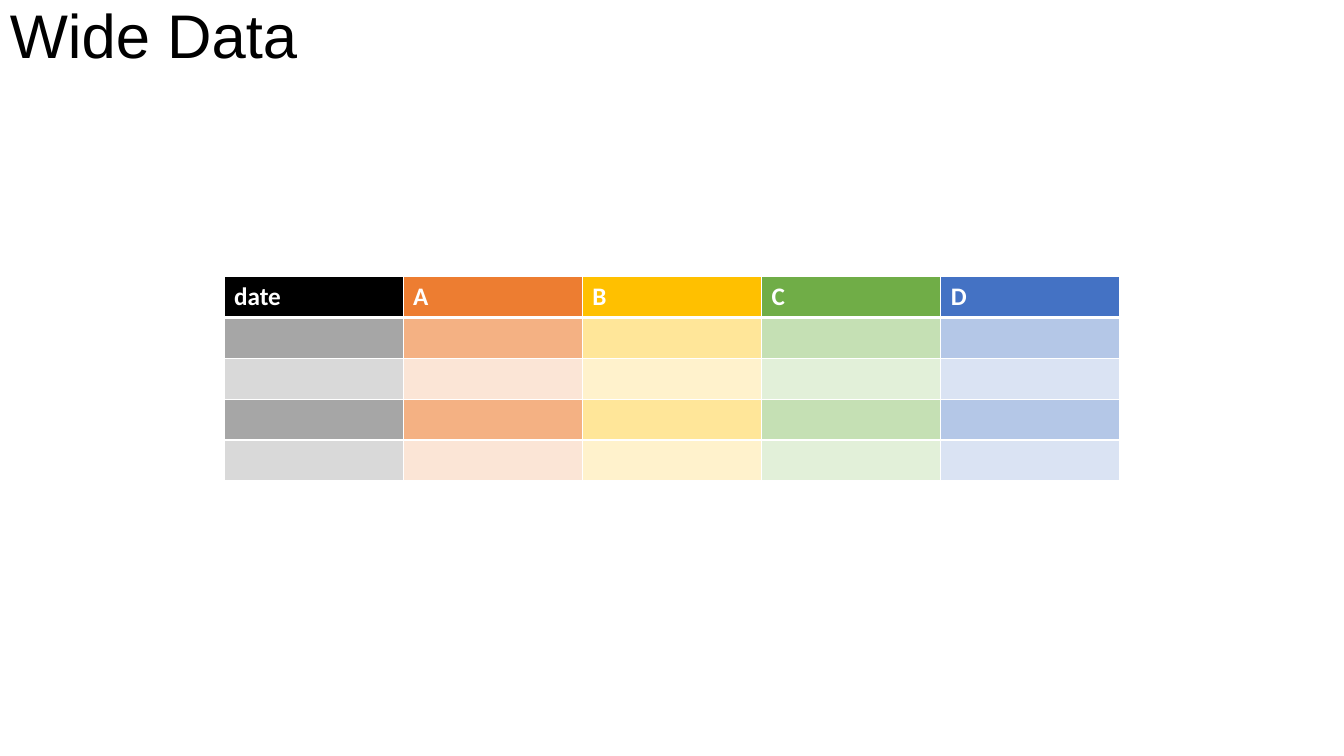
from lxml.etree import SubElement
from pptx import Presentation
from pptx.dml.color import RGBColor
from pptx.enum.text import MSO_ANCHOR
from pptx.oxml.ns import qn
from pptx.util import Pt

EMU_PER_PX = 6350
SLIDE_WIDTH, SLIDE_HEIGHT = 1920, 1080
ROW_HEIGHT = 58
BODY_ROWS = 4

BLACK = RGBColor(0x00, 0x00, 0x00)
WHITE = RGBColor(0xFF, 0xFF, 0xFF)
DARK_GRAY = RGBColor(0xA6, 0xA6, 0xA6)
LIGHT_GRAY = RGBColor(0xD9, 0xD9, 0xD9)
ORANGE = RGBColor(0xED, 0x7D, 0x31)
MID_ORANGE = RGBColor(0xF4, 0xB1, 0x83)
PALE_ORANGE = RGBColor(0xFB, 0xE5, 0xD6)
GOLD = RGBColor(0xFF, 0xC0, 0x00)
MID_GOLD = RGBColor(0xFF, 0xE6, 0x99)
PALE_GOLD = RGBColor(0xFF, 0xF2, 0xCC)
GREEN = RGBColor(0x70, 0xAD, 0x47)
MID_GREEN = RGBColor(0xC5, 0xE0, 0xB4)
PALE_GREEN = RGBColor(0xE2, 0xF0, 0xD9)
BLUE = RGBColor(0x44, 0x72, 0xC4)
MID_BLUE = RGBColor(0xB4, 0xC7, 0xE7)
PALE_BLUE = RGBColor(0xDA, 0xE3, 0xF3)

COLUMNS = [
    ("date", BLACK, DARK_GRAY, LIGHT_GRAY),
    ("A", ORANGE, MID_ORANGE, PALE_ORANGE),
    ("B", GOLD, MID_GOLD, PALE_GOLD),
    ("C", GREEN, MID_GREEN, PALE_GREEN),
    ("D", BLUE, MID_BLUE, PALE_BLUE),
]


def px(length):
    return length * EMU_PER_PX


def write_text(frame, text, *, font, size, color, bold=False, line_spacing=None):
    paragraph = frame.paragraphs[0]
    paragraph.line_spacing = line_spacing
    run = paragraph.add_run()
    run.text = text
    run.font.name = font
    run.font.size = Pt(size)
    run.font.bold = bold
    run.font.color.rgb = color


def set_borders(cell, color, **widths):
    properties = cell._tc.get_or_add_tcPr()
    for side in "LRTB":
        border = SubElement(properties, qn(f"a:ln{side}"), w=str(Pt(widths.get(side, 1))))
        fill = SubElement(border, qn("a:solidFill"))
        SubElement(fill, qn("a:srgbClr"), val=str(color))


def add_title(slide, left, top, width, height):
    title = slide.shapes.add_textbox(px(left), px(top), px(width), px(height))
    frame = title.text_frame
    frame.word_wrap = True
    frame.vertical_anchor = MSO_ANCHOR.BOTTOM
    write_text(frame, "Wide Data", font="Arial", size=44, color=BLACK, line_spacing=0.8)


def add_wide_table(slide, left, top, width, height):
    table = slide.shapes.add_table(
        BODY_ROWS + 1, len(COLUMNS), px(left), px(top), px(width), px(height)
    ).table
    for column, (heading, header_color, odd_color, even_color) in enumerate(COLUMNS):
        for row in range(BODY_ROWS + 1):
            cell = table.cell(row, column)
            widths = {0: {"B": 3}, 1: {"T": 3}}.get(row, {})
            set_borders(cell, WHITE, **widths)
            cell.fill.solid()
            if row == 0:
                cell.fill.fore_color.rgb = header_color
                write_text(cell.text_frame, heading, font="Calibri", size=18,
                           color=WHITE, bold=True)
            else:
                cell.fill.fore_color.rgb = odd_color if row % 2 else even_color


def main():
    presentation = Presentation()
    presentation.slide_width = px(SLIDE_WIDTH)
    presentation.slide_height = px(SLIDE_HEIGHT)
    slide = presentation.slides.add_slide(presentation.slide_layouts[6])
    add_wide_table(slide, 320, 395, 1280, ROW_HEIGHT * (BODY_ROWS + 1))
    add_title(slide, 0, 0, 1656, 107)
    presentation.save("out.pptx")


if __name__ == "__main__":
    main()
